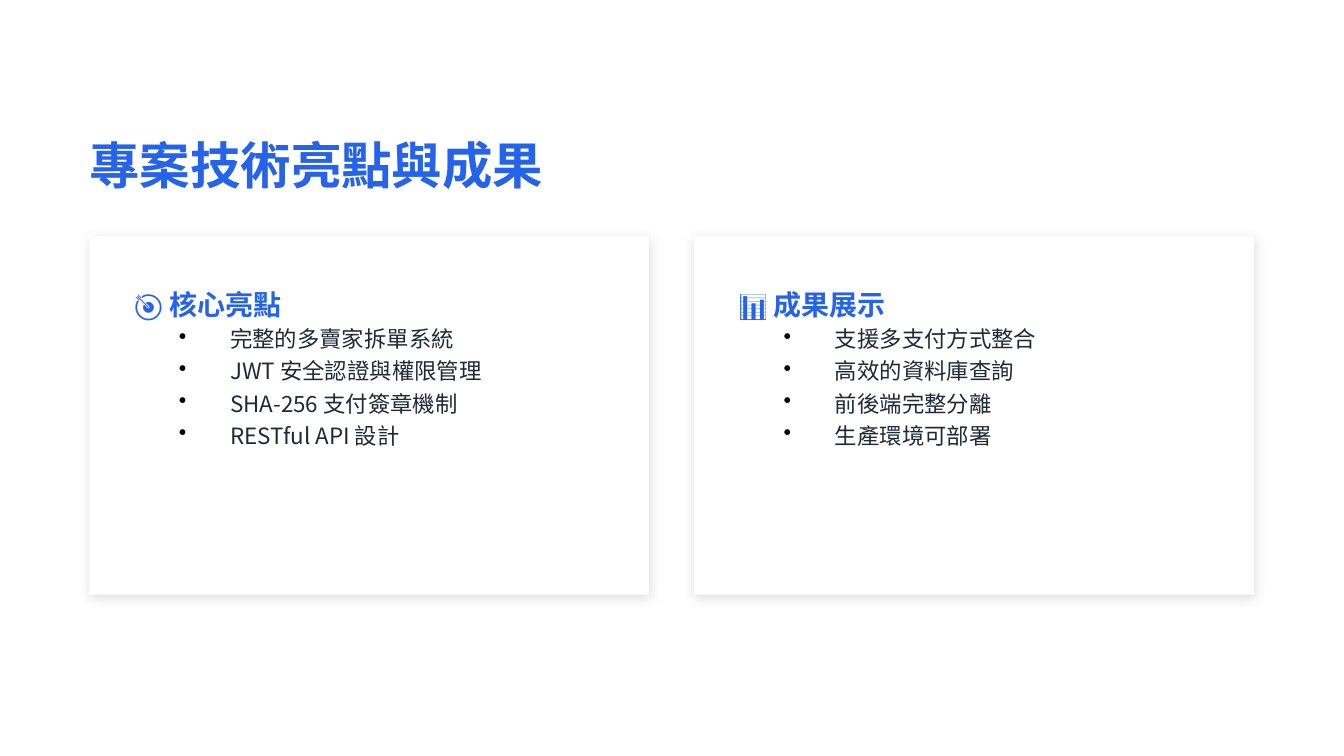
from lxml import etree
from pptx import Presentation
from pptx.dml.color import RGBColor
from pptx.enum.shapes import MSO_SHAPE
from pptx.enum.text import MSO_ANCHOR, MSO_AUTO_SIZE, PP_ALIGN
from pptx.oxml.ns import qn
from pptx.util import Cm, Pt

RECTANGLE = MSO_SHAPE.RECTANGLE
TOP = MSO_ANCHOR.TOP
NO_AUTOFIT = MSO_AUTO_SIZE.NONE
LEFT = PP_ALIGN.LEFT

FONT = "Noto Sans CJK SC"
COLORS = {"accent": "2563EB", "body": "1F2937", "card": "FFFFFF", "black": "000000"}
TITLE = "專案技術亮點與成果"
CARDS = [
    ("🎯 核心亮點", ["完整的多賣家拆單系統", "JWT 安全認證與權限管理",
                 "SHA-256 支付簽章機制", "RESTful API 設計"]),
    ("📊 成果展示", ["支援多支付方式整合", "高效的資料庫查詢",
                 "前後端完整分離", "生產環境可部署"]),
]
CARD_LEFT, CARD_TOP = 1.69, 4.47
CARD_WIDTH, CARD_HEIGHT = 10.58, 6.77
CARD_STEP = 11.43


def place(shape, left, top, width, height):
    shape.left, shape.top = Cm(left), Cm(top)
    shape.width, shape.height = Cm(width), Cm(height)


def add_bullet(paragraph):
    properties = paragraph._p.get_or_add_pPr()
    properties.set("marL", str(Cm(0.97)))
    properties.set("indent", str(Cm(-0.97)))
    color = etree.SubElement(properties, qn("a:buClr"))
    etree.SubElement(color, qn("a:srgbClr"), val=COLORS["black"])
    etree.SubElement(properties, qn("a:buChar"), char="•")


def write_text(shape, lines, size, color, bold=False, spacing=1.2, bullets=False):
    frame = shape.text_frame
    frame.text = "\n".join(lines)
    frame.word_wrap = True
    frame.auto_size = NO_AUTOFIT
    frame.vertical_anchor = TOP
    frame.margin_left = frame.margin_right = 0
    frame.margin_top = frame.margin_bottom = 0
    for paragraph in frame.paragraphs:
        if bullets:
            add_bullet(paragraph)
        paragraph.alignment = LEFT
        paragraph.line_spacing = spacing
        paragraph.space_before = Pt(0)
        paragraph.font.name = FONT
        paragraph.font.size = Pt(size)
        paragraph.font.bold = bold
        paragraph.font.color.rgb = RGBColor.from_string(COLORS[color])


def add_shadow(shape):
    shape.shadow.inherit = False
    effects = shape._element.spPr.find(qn("a:effectLst"))
    shadow = etree.SubElement(effects, qn("a:outerShdw"), blurRad=str(Pt(6)),
                              dist=str(Pt(1.5)), dir="5400000", algn="ctr",
                              rotWithShape="0")
    color = etree.SubElement(shadow, qn("a:srgbClr"), val=COLORS["black"])
    etree.SubElement(color, qn("a:alpha"), val="12000")


def add_text(slide, left, top, width, height, lines, **style):
    box = slide.shapes.add_textbox(Cm(left), Cm(top), Cm(width), Cm(height))
    write_text(box, lines, **style)


def add_card(slide, left, heading, items):
    card = slide.shapes.add_shape(RECTANGLE, Cm(left), Cm(CARD_TOP),
                                  Cm(CARD_WIDTH), Cm(CARD_HEIGHT))
    card.fill.solid()
    card.fill.fore_color.rgb = RGBColor.from_string(COLORS["card"])
    card.line.fill.background()
    add_shadow(card)
    add_text(slide, left + 0.85, CARD_TOP + 0.84, 9.07, 0.71, [heading],
             size=15, color="accent", bold=True)
    add_text(slide, left + 1.69, CARD_TOP + 1.58, 8.05, 4.37, items,
             size=12, color="body", bullets=True)


def main():
    presentation = Presentation()
    presentation.slide_width, presentation.slide_height = Cm(25.4), Cm(14.29)
    slide = presentation.slides.add_slide(presentation.slide_layouts[5])
    title = slide.shapes.title
    place(title, CARD_LEFT, 1.69, 22.45, 1.24)
    write_text(title, [TITLE], size=27, color="accent", bold=True, spacing=1.73)
    for index, (heading, items) in enumerate(CARDS):
        add_card(slide, CARD_LEFT + index * CARD_STEP, heading, items)
    presentation.save("out.pptx")


if __name__ == "__main__":
    main()
